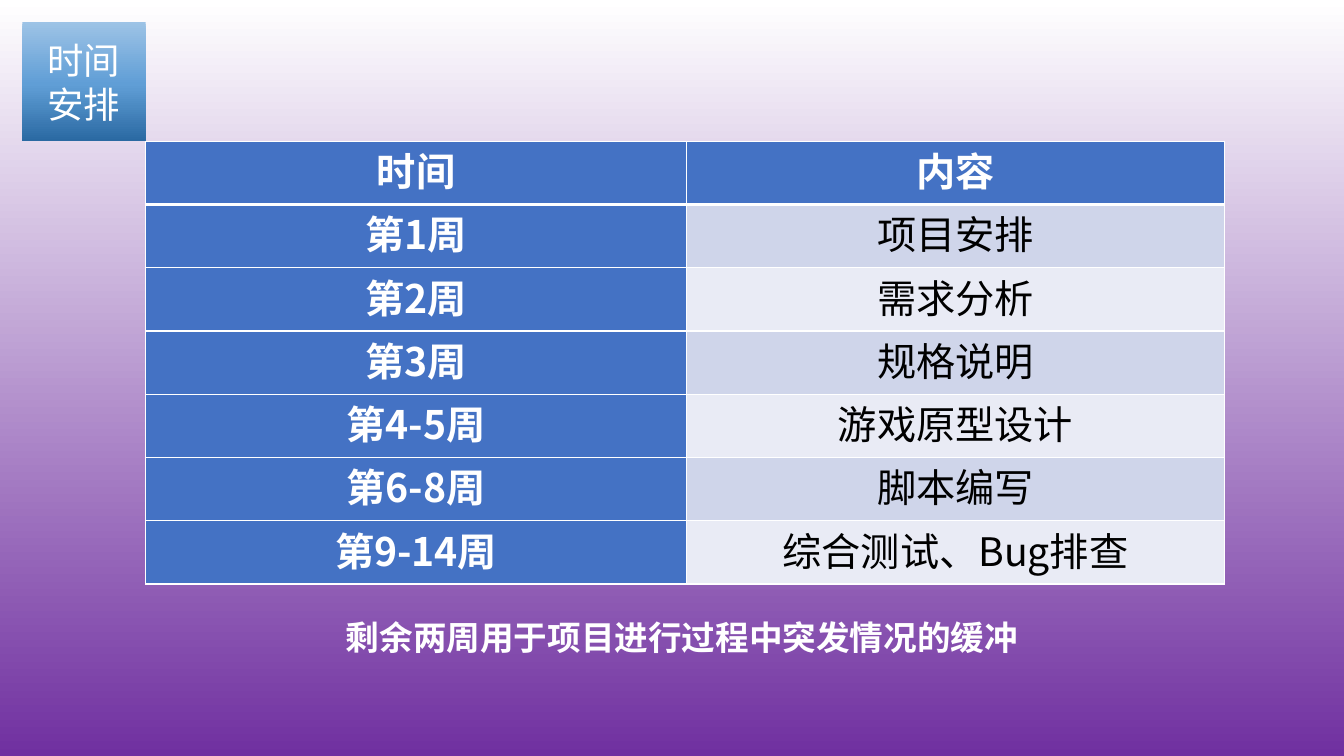
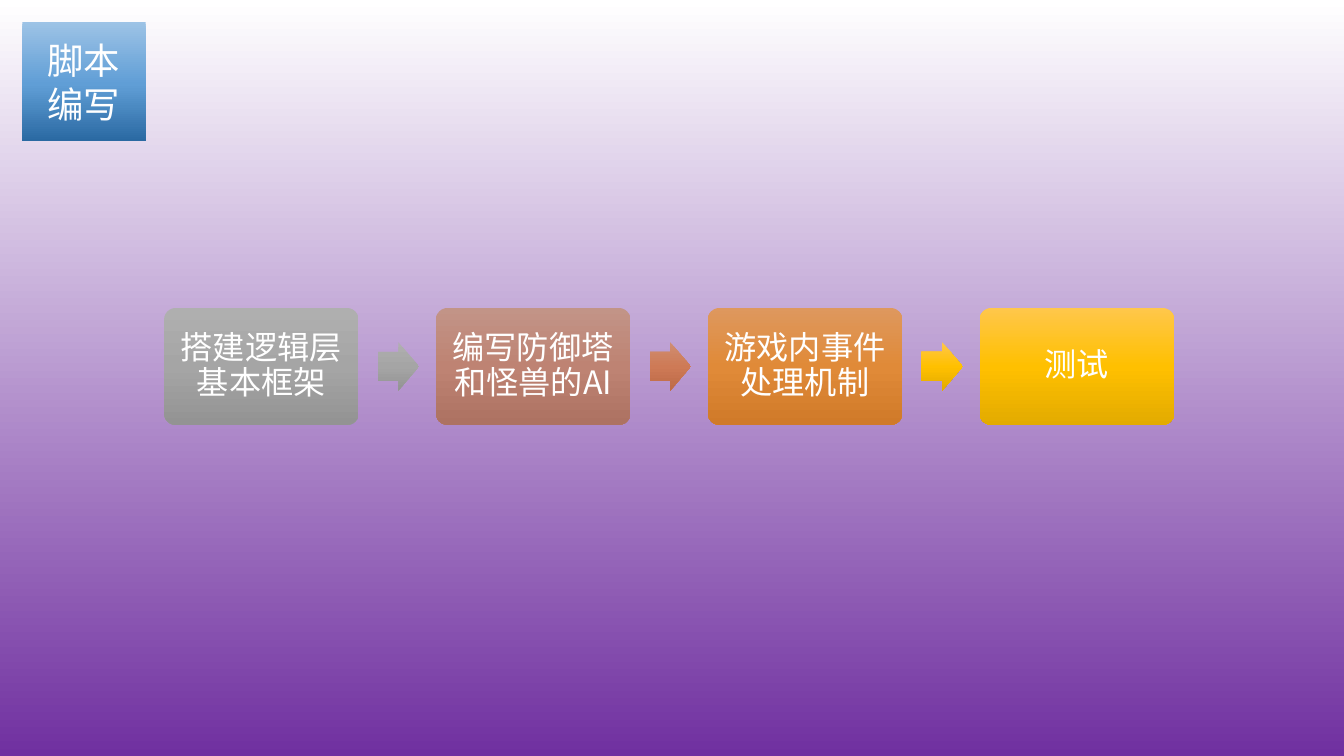
from lxml import etree
from pptx import Presentation
from pptx.dml import color
from pptx.enum import shapes, text
from pptx.oxml import ns
from pptx.util import Pt

FONT = "Noto Sans CJK SC"
WHITE, BLACK = "FFFFFF", "000000"
HEADER = "4472C4"
BANDS = ("CFD5EA", "E9EBF5")
BACKGROUND = ((0, WHITE), (100, "7030A0"))
BADGE = ((0, "9DC3E6"), (52, "609ED6"), (100, "2A69A2"))
GREY = ((0, "AFAFAF"), (50, "A5A5A5"), (100, "939393"))
ROSE = ((0, "C29487"), (50, "BE8373"), (100, "AD7262"))
COPPER = ((0, "CF8E72"), (50, "CE7A56"), (100, "BD6A47"))
ORANGE = ((0, "DE985E"), (50, "E08A38"), (100, "D07A29"))
GOLD = ((0, "FFC74B"), (50, "FFC000"), (100, "E3AB00"))


def rgb(value):
    return color.RGBColor.from_string(value)


def sub(parent, tag, **attrs):
    return etree.SubElement(parent, ns.qn(tag), attrs)


def gradient(fill, element, stops):
    fill.gradient()
    fill.gradient_angle = 270
    gs_list = next(element.iter(ns.qn("a:gsLst")))
    for old in list(gs_list):
        gs_list.remove(old)
    for position, value in stops:
        gs = sub(gs_list, "a:gs", pos=str(position * 1000))
        sub(gs, "a:srgbClr", val=value)


def write(tf, words, size=24, fill=WHITE, bold=False,
          align=text.PP_ALIGN.CENTER, spacing=1.0):
    p = tf.paragraphs[0]
    p.alignment = align
    p.line_spacing = spacing
    r = p.add_run()
    r.text = words
    r.font.name = FONT
    r.font.size = Pt(size)
    r.font.bold = bold
    r.font.color.rgb = rgb(fill)
    sub(r.font._element, "a:ea", typeface=FONT)


def inset(tf, side, top):
    tf.margin_left = tf.margin_right = Pt(side)
    tf.margin_top = tf.margin_bottom = Pt(top)


class Deck:
    def __init__(self):
        self.prs = Presentation()
        self.prs.slide_width = Pt(960)
        self.prs.slide_height = Pt(540)
        master = self.prs.slide_master
        gradient(master.background.fill, master._element, BACKGROUND)
        self.slide = None

    def add_slide(self, title):
        layout = self.prs.slide_layouts.get_by_name("Title Only")
        self.slide = self.prs.slides.add_slide(layout)
        sp = self.slide.shapes.title
        sp.left, sp.top, sp.width, sp.height = Pt(16), Pt(16), Pt(88), Pt(85)
        geometry = sub(sp._element.spPr, "a:prstGeom", prst="flowChartDocument")
        sub(geometry, "a:avLst")
        gradient(sp.fill, sp._element, BADGE)
        tf = sp.text_frame
        tf.word_wrap = True
        tf.auto_size = text.MSO_AUTO_SIZE.NONE
        tf.vertical_anchor = text.MSO_ANCHOR.MIDDLE
        inset(tf, 7.2, 3.6)
        write(tf, title, size=26)

    def shape(self, kind, box, stops, adjustments):
        sp = self.slide.shapes.add_shape(kind, *map(Pt, box))
        sp.shadow.inherit = False
        sp.line.fill.background()
        for i, value in enumerate(adjustments):
            sp.adjustments[i] = value
        gradient(sp.fill, sp._element, stops)
        return sp

    def step(self, words, box, stops):
        sp = self.shape(shapes.MSO_SHAPE.ROUNDED_RECTANGLE, box, stops, [0.1])
        tf = sp.text_frame
        tf.word_wrap = True
        tf.vertical_anchor = text.MSO_ANCHOR.MIDDLE
        inset(tf, 7.2, 7.2)
        write(tf, words, size=23, spacing=0.9)

    def arrow(self, box, stops):
        self.shape(shapes.MSO_SHAPE.RIGHT_ARROW, box, stops, [0.6, 0.5])

    def caption(self, words, box):
        tf = self.slide.shapes.add_textbox(*map(Pt, box)).text_frame
        tf.word_wrap = False
        tf.auto_size = text.MSO_AUTO_SIZE.SHAPE_TO_FIT_TEXT
        write(tf, words, bold=True, align=text.PP_ALIGN.LEFT)

    def table(self, rows, left, top, widths, row_height):
        frame = self.slide.shapes.add_table(
            len(rows), len(widths), Pt(left), Pt(top),
            Pt(sum(widths)), Pt(row_height * len(rows)))
        tbl = frame.table
        for column, width in zip(tbl.columns, widths):
            column.width = Pt(width)
        for i, row in enumerate(rows):
            tbl.rows[i].height = Pt(row_height)
            for j, words in enumerate(row):
                self.cell(tbl.cell(i, j), words, i, i == 0 or j == 0)

    def cell(self, cell, words, row, strong):
        inset(cell, 13, 0)
        write(cell.text_frame, words, size=28, bold=strong,
              fill=WHITE if strong else BLACK)
        borders = {"L": 1, "R": 1, "T": 3 if row == 1 else 1,
                   "B": 3 if row == 0 else 1}
        for side, width in borders.items():
            ln = sub(cell._tc.get_or_add_tcPr(), f"a:ln{side}", w=str(Pt(width)))
            sub(sub(ln, "a:solidFill"), "a:srgbClr", val=WHITE)
        cell.fill.solid()
        cell.fill.fore_color.rgb = rgb(HEADER if strong else BANDS[(row - 1) % 2])


def schedule(deck):
    deck.add_slide("时间安排")
    rows = [
        ("时间", "内容"),
        ("第1周", "项目安排"),
        ("第2周", "需求分析"),
        ("第3周", "规格说明"),
        ("第4-5周", "游戏原型设计"),
        ("第6-8周", "脚本编写"),
        ("第9-14周", "综合测试、Bug排查"),
    ]
    deck.table(rows, 104.2, 101, (386, 384.5), 45.17)
    deck.caption("剩余两周用于项目进行过程中突发情况的缓冲", (240, 437, 499, 36))


def scripting(deck):
    deck.add_slide("脚本编写")
    steps = [
        ("搭建逻辑层基本框架", GREY, GREY),
        ("编写防御塔和怪兽的AI", ROSE, COPPER),
        ("游戏内事件处理机制", ORANGE, GOLD),
        ("测试", GOLD, None),
    ]
    for i, (words, stops, arrow_stops) in enumerate(steps):
        left = 117.2 + i * 194.2
        deck.step(words, (left, 220, 139, 83.5), stops)
        if arrow_stops:
            deck.arrow((left + 152.6, 244.5, 29.5, 34.5), arrow_stops)


def main():
    deck = Deck()
    schedule(deck)
    scripting(deck)
    deck.prs.save("out.pptx")


if __name__ == "__main__":
    main()
